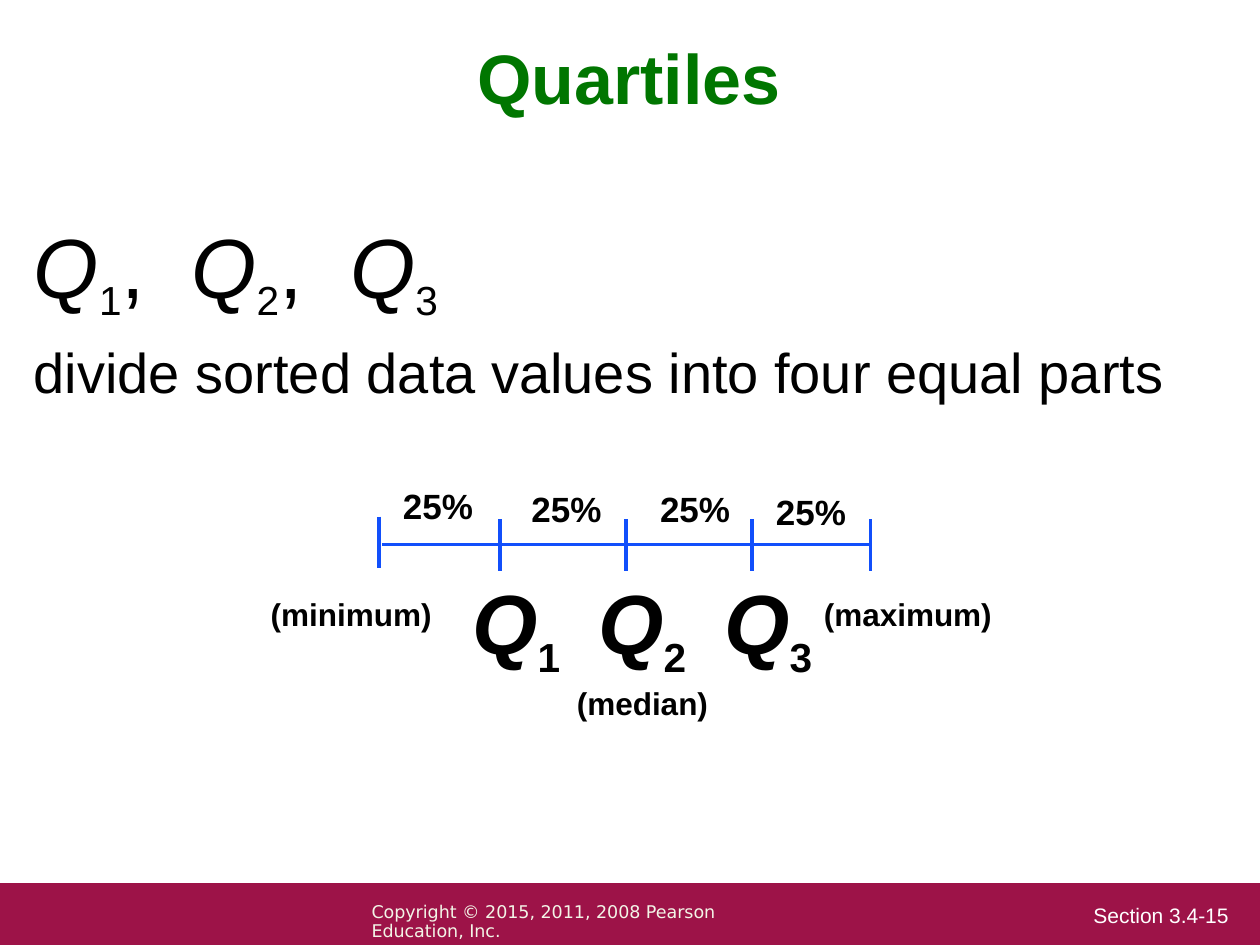
from lxml import etree
from pptx import Presentation
from pptx.dml.color import RGBColor
from pptx.enum import shapes, text
from pptx.oxml import ns
from pptx.util import Inches, Pt

COLORS = {"band": "9D1348", "axis": "114FFB", "title": "007600",
          "text": "000000", "section": "FFFFFF", "copyright": "F3F5E7"}


def add_text(box, content, size, color="text", font="Arial", bold=False, align=None,
             anchor=text.MSO_ANCHOR.TOP, wrap=True, line_spacing=None,
             space_before=0, tabs=()):
    """Add a text box at box (inches).

    content is a string or a list of paragraphs; a paragraph is a string or a
    list of runs (text, size, italic, subscript). size applies to paragraphs
    given as strings. Tab stops are in inches and apply to the first paragraph.
    """
    frame = slide.shapes.add_textbox(*map(Inches, box)).text_frame
    frame.word_wrap = wrap
    frame.vertical_anchor = anchor
    paragraphs = [content] if isinstance(content, str) else content
    for index, runs in enumerate(paragraphs):
        paragraph = frame.add_paragraph() if index else frame.paragraphs[0]
        paragraph.alignment = align
        paragraph.line_spacing = line_spacing
        if index:
            paragraph.space_before = Pt(space_before)
        elif tabs:
            properties = paragraph._p.get_or_add_pPr()
            stops = etree.SubElement(properties, ns.qn("a:tabLst"))
            for stop in tabs:
                etree.SubElement(stops, ns.qn("a:tab"), pos=str(Inches(stop)), algn="l")
        if isinstance(runs, str):
            runs = [(runs, size, False, False)]
        for words, points, italic, subscript in runs:
            run = paragraph.add_run()
            run.text = words
            run.font.size = Pt(points)
            run.font.name = font
            run.font.bold = bold
            run.font.italic = italic
            run.font.color.rgb = RGBColor.from_string(COLORS[color])
            if subscript:
                run.font._element.set("baseline", "-25000")


def add_axis_line(x1, y1, x2, y2):
    line = slide.shapes.add_connector(shapes.MSO_CONNECTOR.STRAIGHT,
                                      *map(Inches, (x1, y1, x2, y2)))
    line.line.color.rgb = RGBColor.from_string(COLORS["axis"])
    line.line.width = Pt(2)
    etree.SubElement(line._element.spPr, ns.qn("a:effectLst"))


presentation = Presentation()
presentation.slide_width = Inches(10)
presentation.slide_height = Inches(7.5)
slide = presentation.slides.add_slide(presentation.slide_layouts[6])

# Footer
band = slide.shapes.add_shape(shapes.MSO_SHAPE.RECTANGLE, Inches(0), Inches(7.01),
                              Inches(10), Inches(0.49))
band.shadow.inherit = False
band.fill.solid()
band.fill.fore_color.rgb = RGBColor.from_string(COLORS["band"])
band.line.fill.background()
add_text((8.58, 7.14, 1.4, 0.26), "Section 3.4-15", 12, "section", line_spacing=0.9)
add_text((2.85, 7.12, 3.68, 0.25), "Copyright © 2015, 2011, 2008 Pearson Education, Inc.",
         10, "copyright", font="DejaVu Sans", line_spacing=0.9)

# Title and definition
add_text((0.74, 0.13, 8.5, 0.95), "Quartiles", 40, "title", bold=True,
         align=text.PP_ALIGN.CENTER, anchor=text.MSO_ANCHOR.MIDDLE)
quartiles = [[("Q", 48, True, False), (number, 40, False, True)] for number in "123"]
separator = [(",\t", 48, False, False)]
quartile_list = quartiles[0] + separator + quartiles[1] + separator + quartiles[2]
add_text((0.17, 1.65, 9.75, 4.5),
         [quartile_list, "divide sorted data values into four equal parts"],
         32, space_before=8, tabs=(1.25, 2.51))

# Number line: the minimum, three quartiles and the maximum
add_axis_line(3.03, 4.32, 6.9, 4.32)
for x, top in ((3.01, 4.1), (3.97, 4.12), (4.97, 4.12), (5.97, 4.12), (6.91, 4.12)):
    add_axis_line(x, top, x, top + 0.41)

for left, top in ((3.1, 3.8), (4.12, 3.82), (5.14, 3.82), (6.06, 3.84)):
    add_text((left, top, 0.76, 0.43), "25%", 20, bold=True, wrap=False)
for index, quartile in enumerate(quartiles):
    add_text((3.65 + index, 4.48, 0.9, 0.97), [quartile], 48, bold=True, wrap=False)
for left, top, width, label in ((2.05, 4.71, 1.55, "(minimum)"),
                                (6.44, 4.71, 1.6, "(maximum)"),
                                (4.48, 5.41, 1.3, "(median)")):
    add_text((left, top, width, 0.37), label, 18, bold=True, line_spacing=0.9)

presentation.save("out.pptx")
